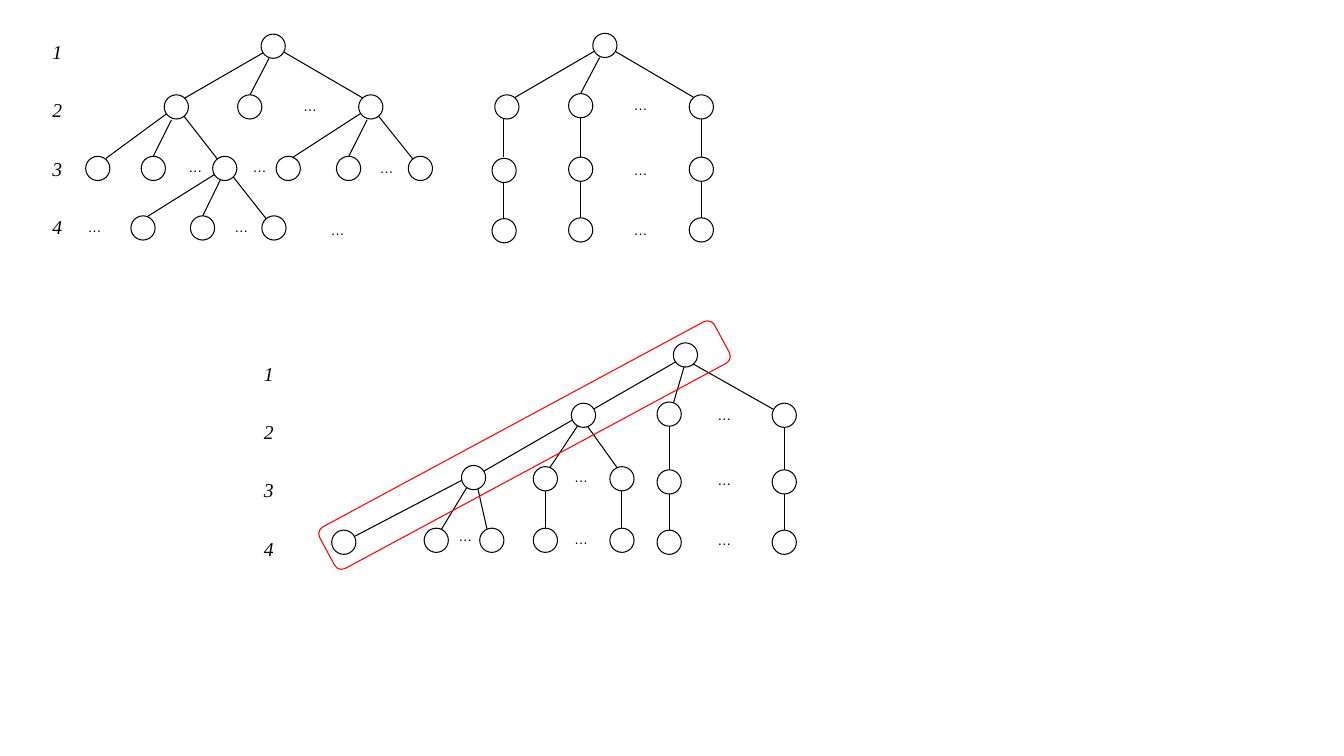
"""Draw three search trees with level numbers and a highlighted leftmost path."""
from lxml.etree import SubElement
from pptx import Presentation
from pptx.dml.color import RGBColor
from pptx.enum.shapes import MSO_CONNECTOR as Connector, MSO_SHAPE as Shape
from pptx.oxml.ns import qn
from pptx.util import Cm, Pt


def color(value):
    return RGBColor.from_string(value)


def add_label(left, top, width, height, text, font_format):
    shape = slide.shapes.add_textbox(Cm(left), Cm(top), Cm(width), Cm(height))
    frame = shape.text_frame
    margins = {"margin_left": Cm(0.25), "margin_right": Cm(0.25),
               "margin_top": Cm(0.13), "margin_bottom": Cm(0.13)}
    for name, value in {"word_wrap": False, **margins}.items():
        setattr(frame, name, value)
    run = frame.paragraphs[0].add_run()
    run.text = text
    for name, value in font_format.items():
        setattr(run.font, name, value)
    run.font.color.rgb = color("000000")


presentation = Presentation()
presentation.slide_width = Cm(33.87)
presentation.slide_height = Cm(19.05)
slide = presentation.slides.add_slide(presentation.slide_layouts[6])

NODE_SIZE = 0.61
LINE_WIDTH = Pt(0.75)

edges = [
    (6.91, 1.17, 4.45, 2.59), (6.91, 1.17, 9.35, 2.59), (6.78, 1.47, 6.3, 2.39),
    (4.37, 2.74, 2.67, 3.99), (4.45, 2.69, 5.66, 4.24), (4.32, 3.02, 3.86, 3.94),
    (9.35, 2.69, 7.34, 3.99), (9.35, 2.69, 10.59, 4.24), (9.25, 3.02, 8.79, 3.94),
    (5.69, 4.22, 3.66, 5.49), (5.69, 4.22, 6.91, 5.77), (5.56, 4.52, 5.11, 5.44),
    (15.24, 1.14, 12.78, 2.57), (15.24, 1.14, 17.68, 2.57), (15.11, 1.45, 14.63, 2.36),
    (17.2, 9.02, 14.73, 10.44), (17.2, 9.02, 19.66, 10.41), (17.3, 9.04, 16.97, 10.16),
    (14.45, 10.57, 11.99, 11.99), (14.66, 10.54, 15.57, 11.81), (14.63, 10.62, 13.74, 11.96),
    (11.91, 11.96, 8.64, 13.67), (12.01, 12.17, 12.32, 13.54), (11.76, 12.29, 11.05, 13.46),
]
stems = [
    ([12.7, 14.63, 17.68], [(2.87, 3.96), (4.57, 5.64)]),
    ([13.74, 15.67], [(12.37, 13.46)]),
    ([16.87, 19.76], [(10.74, 11.84), (12.45, 13.51)]),
]
for columns, spans in stems:
    edges += [(x, top, x, bottom) for x in columns for top, bottom in spans]

for edge in edges:
    connector = slide.shapes.add_connector(Connector.STRAIGHT, *map(Cm, edge))
    connector.line.width = LINE_WIDTH
    connector.line.color.rgb = color("000000")
    SubElement(connector._element.spPr, qn("a:effectLst"))

node_rows = {
    0.86: [6.58],
    0.84: [14.94],
    2.39: [4.14, 5.99, 9.04, 12.47, 17.37],
    2.36: [14.33],
    3.94: [2.16, 3.56, 5.36, 6.96, 8.48, 10.29],
    3.96: [14.33, 17.37],
    3.99: [12.4],
    5.44: [3.3, 4.8, 6.6],
    5.49: [14.33, 17.37],
    5.51: [12.4],
    8.64: [16.97],
    10.16: [14.4, 19.46],
    10.13: [16.56],
    11.73: [11.63],
    11.76: [13.44, 15.37],
    11.84: [16.56, 19.46],
    13.31: [10.69, 12.09, 13.44, 15.37],
    13.36: [8.36, 16.56, 19.46],
}
for top, lefts in node_rows.items():
    for left in lefts:
        node = slide.shapes.add_shape(Shape.OVAL, Cm(left), Cm(top), Cm(NODE_SIZE), Cm(NODE_SIZE))
        node.shadow.inherit = False
        node.fill.solid()
        node.fill.fore_color.rgb = color("FFFFFF")
        node.line.width = LINE_WIDTH
        node.line.color.rgb = color("000000")

path_frame = slide.shapes.add_shape(
    Shape.ROUNDED_RECTANGLE, Cm(7.57), Cm(10.62), Cm(11.3), Cm(1.19))
path_frame.rotation = 331.7
path_frame.shadow.inherit = False
path_frame.fill.background()
path_frame.line.width = LINE_WIDTH
path_frame.line.color.rgb = color("FF0000")

ellipsis_format = {"name": "Arial", "size": Pt(10)}
ellipsis_places = [
    (7.39, 2.34), (4.5, 3.86), (6.12, 3.86), (9.32, 3.89),
    (1.96, 5.38), (5.66, 5.38), (8.08, 5.46),
    (15.72, 2.31), (15.72, 3.94), (15.72, 5.44),
    (17.83, 10.11), (17.83, 11.76), (17.83, 13.26),
    (14.22, 11.68), (14.22, 13.23), (11.3, 13.16),
]
for left, top in ellipsis_places:
    add_label(left, top, 0.86, 0.69, "…", ellipsis_format)

level_format = {"name": "Times New Roman", "size": Pt(14), "italic": True}
for left, first_top in [(1.07, 0.88), (6.4, 8.98)]:
    for level in range(4):
        add_label(left, first_top + level * 1.47, 0.79, 0.82, str(level + 1), level_format)

presentation.save("out.pptx")
